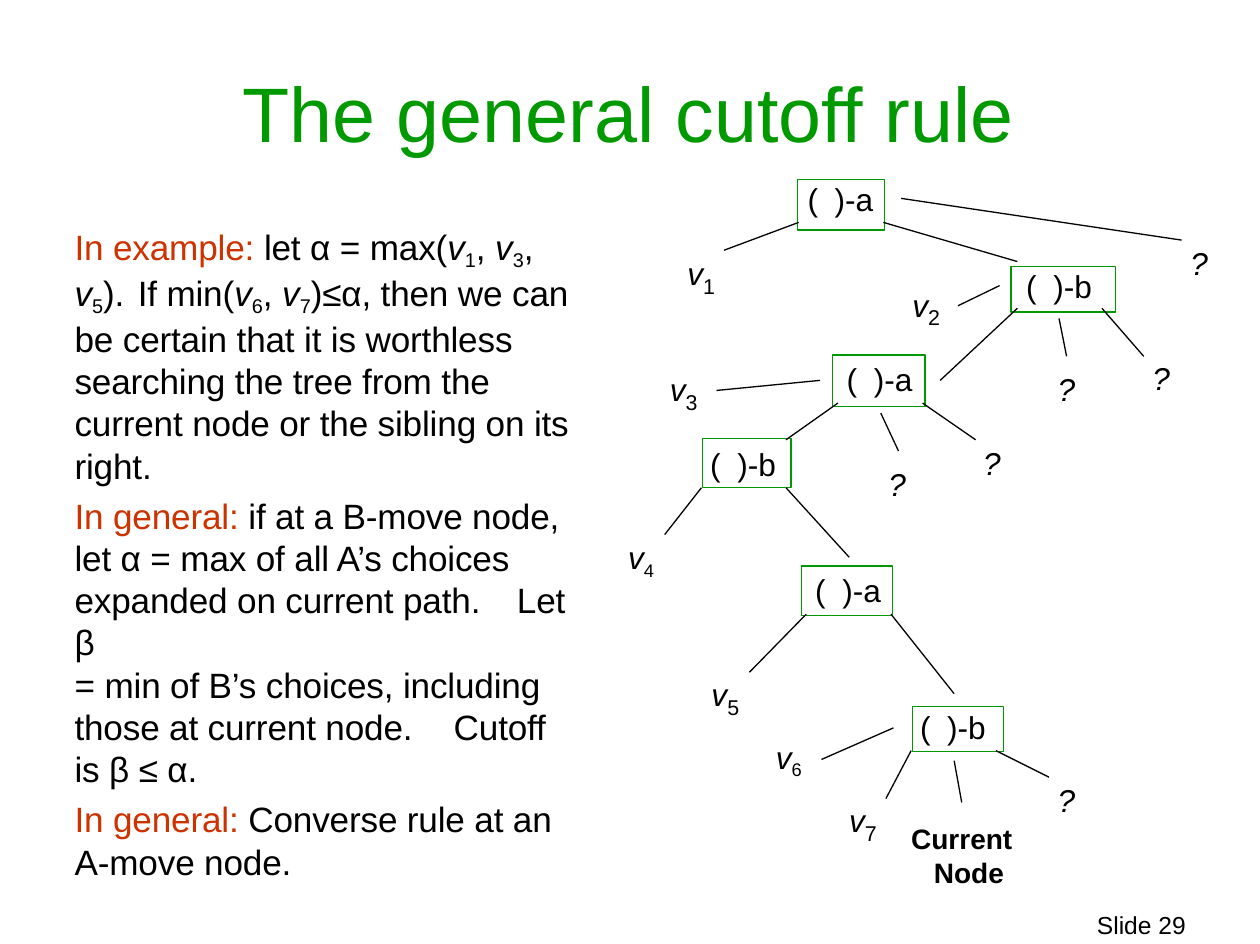
import pptx
import pptx.util
import pptx.dml.color
import pptx.enum.shapes
import pptx.enum.text
import pptx.oxml.ns
import lxml.etree

Inches = pptx.util.Inches
Pt = pptx.util.Pt
qn = pptx.oxml.ns.qn


def color(value):
    return pptx.dml.color.RGBColor.from_string(value)


def prepare(shape, size, ink="000000", top=0.01, left=0.01):
    frame = shape.text_frame
    frame.word_wrap = True
    frame.auto_size = pptx.enum.text.MSO_AUTO_SIZE.NONE
    frame.vertical_anchor = pptx.enum.text.MSO_ANCHOR.TOP
    frame.margin_left, frame.margin_top = Inches(left), Inches(top)
    frame.margin_right = frame.margin_bottom = 0
    paragraph = frame.paragraphs[0]
    paragraph.alignment = pptx.enum.text.PP_ALIGN.LEFT
    paragraph.font.name = "Arial"
    paragraph.font.size = Pt(size)
    paragraph.font.color.rgb = color(ink)
    return paragraph


deck = pptx.Presentation()
deck.slide_width, deck.slide_height = Inches(9.97), Inches(7.47)
slide = deck.slides.add_slide(deck.slide_layouts[1])
shapes = slide.shapes

heading = shapes.title
heading.left, heading.top = Inches(1.91), Inches(0.51)
heading.width, heading.height = Inches(6.15), Inches(0.76)
heading.text_frame.text = "The general cutoff rule"
prepare(heading, 44, "009A00")

rules = [
    (0, 0.7, [
        ("In example: ", "lead"), ("let α = max(", ""), ("v", "var"), ("1", "sub"),
        (", ", ""), ("v", "var"), ("3", "sub"), (", ", ""), ("v", "var"), ("5", "sub"),
        (").\tIf min(", ""), ("v", "var"), ("6", "sub"), (", ", ""), ("v", "var"), ("7", "sub"),
        (")≤α, then we can be certain that it is worthless searching the tree from the "
         "current node or the sibling on its right.", "")]),
    (4.8, 3.37, [
        ("In general: ", "lead"),
        ("if at a B-move node, let α = max of all A’s choices expanded on current path.\tLet", ""),
        ("", "break"), ("β", "")]),
    (0, 2.78, [
        ("= min of B’s choices, including those at current node.\tCutoff", ""),
        ("", "break"), ("is β ≤ α.", "")]),
    (4.8, None, [
        ("In general: ", "lead"), ("Converse rule at an A-move node.", "")]),
]
body = slide.placeholders[1]
body.left, body.top = Inches(0.55), Inches(1.77)
body.width, body.height = Inches(4.1), Inches(4.83)
for number, (gap, tab, parts) in enumerate(rules):
    rule = body.text_frame.paragraphs[0] if number == 0 else body.text_frame.add_paragraph()
    properties = rule._p.get_or_add_pPr()
    properties.set("marL", str(Inches(0.04)))
    properties.set("indent", "0")
    lxml.etree.SubElement(properties, qn("a:buNone"))
    if tab:
        stops = lxml.etree.SubElement(properties, qn("a:tabLst"))
        lxml.etree.SubElement(stops, qn("a:tab"), pos=str(Inches(tab)), algn="l")
    if number == 0:
        prepare(body, 20, left=0)
    rule.alignment = pptx.enum.text.PP_ALIGN.LEFT
    rule.line_spacing = 1.0
    rule.space_before = Pt(gap)
    rule.font.name = "Arial"
    rule.font.size = Pt(20)
    rule.font.color.rgb = color("000000")
    for text, role in parts:
        if role == "break":
            rule.add_line_break()
            continue
        run = rule.add_run()
        run.text = text
        run._r.get_or_add_rPr().set("spc", "-10")
        if role == "lead":
            run.font.color.rgb = color("CC3300")
        elif role == "var":
            run.font.italic = True
        elif role == "sub":
            run.font.size = Pt(19.5)
            run._r.get_or_add_rPr().set("baseline", "-21000")

nodes = [
    ("a", 6.31, 1.42, 0.69, 0.4, 0.08, 0),
    ("b", 8, 2.11, 0.83, 0.36, 0.12, 0),
    ("a", 6.59, 2.81, 0.73, 0.41, 0.11, 0.04),
    ("b", 5.56, 3.47, 0.7, 0.39, 0.06, 0.05),
    ("a", 6.34, 4.48, 0.72, 0.39, 0.11, 0.04),
    ("b", 7.22, 5.59, 0.72, 0.36, 0.06, 0.01),
]
for player, left, top, width, height, inset, drop in nodes:
    node = shapes.add_shape(pptx.enum.shapes.MSO_SHAPE.RECTANGLE,
                            Inches(left), Inches(top), Inches(width), Inches(height))
    node.shadow.inherit = False
    node.fill.background()
    node.line.color.rgb = color("019901")
    node.line.width = Pt(0.75)
    move = prepare(node, 18, top=drop, left=inset)
    opening = move.add_run()
    opening.text = "( "
    opening._r.get_or_add_rPr().set("spc", "225")
    move.add_run().text = ")-" + player

values = [
    ("1", 5.43, 1.96, 21), ("2", 7.21, 2.21, 21), ("3", 5.29, 2.88, 21), ("4", 4.96, 4.25, 18),
    ("5", 5.62, 5.29, 21), ("6", 6.13, 5.83, 18), ("7", 6.71, 6.29, 21),
]
for index, left, top, size in values:
    value = prepare(shapes.add_textbox(Inches(left), Inches(top), Inches(0.3), Inches(0.33)), 18)
    letter = value.add_run()
    letter.text = "v"
    letter.font.italic = True
    subscript = value.add_run()
    subscript.text = index
    subscript.font.size = Pt(size)
    subscript._r.get_or_add_rPr().set("baseline", "-23000")

unknowns = [(9.41, 1.92), (9.11, 2.83), (8.36, 2.92), (7.77, 3.5), (7.02, 3.67), (8.36, 6.17)]
for left, top in unknowns:
    unknown = prepare(shapes.add_textbox(Inches(left), Inches(top), Inches(0.17), Inches(0.33)), 18)
    unknown.add_run().text = "?"
    unknown.font.italic = True

current = prepare(shapes.add_textbox(Inches(7.2), Inches(6.49), Inches(0.85), Inches(0.56)), 16, left=0)
current.add_run().text = "Current Node"
current.font.bold = True
current._p.pPr.set("marL", str(Inches(0.19)))
current._p.pPr.set("indent", str(Inches(-0.18)))

branches = [
    (6.32, 1.76, 5.73, 1.98), (6.99, 1.76, 8.05, 2.07), (7.13, 1.57, 9.35, 1.9),
    (8.72, 2.44, 9.05, 2.82), (8.38, 2.52, 8.44, 2.82), (8.05, 2.44, 7.44, 3.01),
    (7.91, 2.26, 7.58, 2.42), (6.49, 3.01, 5.67, 3.09), (6.63, 3.19, 6.22, 3.48),
    (6.97, 3.27, 7.11, 3.57), (7.3, 3.19, 7.72, 3.48), (5.55, 3.86, 5.26, 4.23),
    (6.22, 3.86, 6.72, 4.41), (6.38, 4.86, 5.93, 5.32), (7.05, 4.86, 7.55, 5.49),
    (7.07, 5.76, 6.5, 6.01), (7.21, 5.94, 7.01, 6.32), (7.55, 6.02, 7.61, 6.35),
    (7.88, 5.94, 8.3, 6.15),
]
for ends in branches:
    branch = shapes.add_connector(pptx.enum.shapes.MSO_CONNECTOR.STRAIGHT, *map(Inches, ends))
    branch.line.color.rgb = color("010101")
    branch.line.width = Pt(0.75)
    lxml.etree.SubElement(branch._element.spPr, qn("a:effectLst"))

slide_number = prepare(shapes.add_textbox(Inches(8.67), Inches(7.2), Inches(0.8), Inches(0.25)), 14, top=0)
slide_number.add_run().text = "Slide 29"

deck.save("out.pptx")
